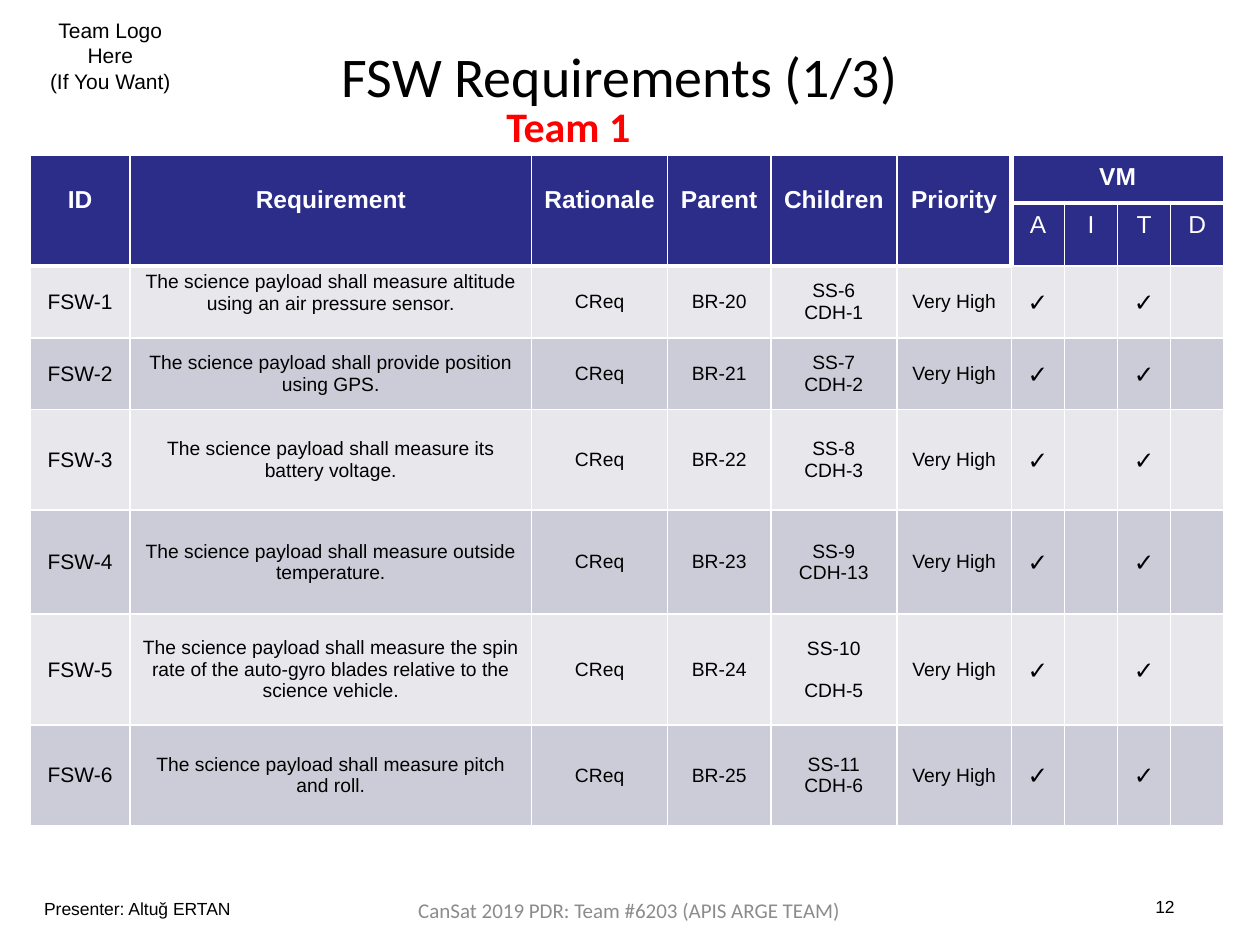
from lxml import etree
from pptx import Presentation
from pptx.dml.color import RGBColor
from pptx.enum.text import MSO_ANCHOR, PP_ALIGN
from pptx.oxml.ns import qn
from pptx.util import Cm, Pt

LEFT, CENTER = PP_ALIGN.LEFT, PP_ALIGN.CENTER
TOP, MIDDLE = MSO_ANCHOR.TOP, MSO_ANCHOR.MIDDLE

COLORS = {
    "black": "000000",
    "white": "FFFFFF",
    "red": "FF0000",
    "grey": "8C8C8C",
    "header": "2C2C89",
    "light": "E7E7EC",
    "dark": "CCCCD9",
}

COLUMN_WIDTHS = [2.01, 8.1, 2.74, 2.08, 2.54, 2.31] + [1.07] * 4
ROW_HEIGHTS = [0.97, 1.27, 1.45, 1.45, 2.02, 2.1, 2.24, 2.02]
HEADERS = ["ID", "Requirement", "Rationale", "Parent", "Children", "Priority"]
METHODS = "AITD"
USED_METHODS = "AT"
FIRST_METHOD = len(HEADERS)

REQUIREMENTS = [
    ("The science payload shall measure altitude using an air pressure sensor.",
     ["SS-6", "CDH-1"]),
    ("The science payload shall provide position using GPS.", ["SS-7", "CDH-2"]),
    ("The science payload shall measure its battery voltage.", ["SS-8", "CDH-3"]),
    ("The science payload shall measure outside temperature.", ["SS-9", "CDH-13"]),
    ("The science payload shall measure the spin rate of the auto-gyro blades "
     "relative to the science vehicle.", ["SS-10", "CDH-5"]),
    ("The science payload shall measure pitch and roll.", ["SS-11", "CDH-6"]),
]


def write(frame, lines, size, color="black", font="Arial", bold=False,
          align=CENTER, gap=0):
    """Fill a text frame, one paragraph per line."""
    for index, line in enumerate(lines):
        para = frame.add_paragraph() if index else frame.paragraphs[0]
        para.text = line
        para.alignment = align
        if index and gap:
            para.space_before = Pt(gap)
        para.font.size = Pt(size)
        para.font.name = font
        para.font.bold = bold
        para.font.color.rgb = RGBColor.from_string(COLORS[color])


def add_text(page, left, top, width, height, lines, size, anchor=TOP, **style):
    box = page.shapes.add_textbox(Cm(left), Cm(top), Cm(width), Cm(height))
    frame = box.text_frame
    frame.word_wrap = True
    frame.vertical_anchor = anchor
    frame.margin_left = frame.margin_right = 0
    frame.margin_top = frame.margin_bottom = 0
    write(frame, lines, size, **style)


def set_borders(cell, thick=""):
    """White lines of 1 pt, or 3 pt on the sides named in thick."""
    properties = cell._tc.get_or_add_tcPr()
    for index, side in enumerate("LRTB"):
        line = etree.Element(qn(f"a:ln{side}"))
        line.set("w", str(Pt(3 if side in thick else 1)))
        fill = etree.SubElement(line, qn("a:solidFill"))
        etree.SubElement(fill, qn("a:srgbClr")).set("val", COLORS["white"])
        properties.insert(index, line)


def style_cell(cell, fill, thick="", anchor=MIDDLE, top=0, bottom=0):
    cell.margin_left = cell.margin_right = 0
    cell.margin_top, cell.margin_bottom = Cm(top), Cm(bottom)
    cell.vertical_anchor = anchor
    cell.fill.solid()
    cell.fill.fore_color.rgb = RGBColor.from_string(COLORS[fill])
    set_borders(cell, thick)


def fill_header(table):
    for column, title in enumerate(HEADERS):
        thick = "R" if column == FIRST_METHOD - 1 else ""
        upper, lower = table.cell(0, column), table.cell(1, column)
        style_cell(upper, "header", thick + "B", bottom=0.43)
        style_cell(lower, "header", thick + "B")
        upper.merge(lower)
        write(upper.text_frame, [title], 14, "white", bold=True)

    # Verification methods
    for column, method in enumerate(METHODS, FIRST_METHOD):
        thick = "L" if column == FIRST_METHOD else ""
        style_cell(table.cell(0, column), "header", thick + "B", TOP, top=0.17)
        cell = table.cell(1, column)
        style_cell(cell, "header", thick + "T", TOP, top=0.17)
        write(cell.text_frame, [method], 14, "white")
    group = table.cell(0, FIRST_METHOD)
    group.merge(table.cell(0, FIRST_METHOD + len(METHODS) - 1))
    write(group.text_frame, ["VM"], 14, "white", bold=True)


def fill_requirement(table, number, requirement, children):
    row = number + 1
    fill = "light" if number % 2 else "dark"
    values = [[f"FSW-{number}"], [requirement], ["CReq"], [f"BR-{19 + number}"],
              children, ["Very High"]]
    for column, lines in enumerate(values):
        cell = table.cell(row, column)
        thick = "T" if number == 1 else ""
        style_cell(cell, fill, thick)
        gap = 12 if children[0] == "SS-10" else 0
        write(cell.text_frame, lines, 11 if column else 12, gap=gap)
    text_cell = table.cell(row, 1)
    text_cell.margin_left = text_cell.margin_right = Cm(0.2)
    if number == 1:
        text_cell.margin_bottom = Cm(0.36)

    for column, method in enumerate(METHODS, FIRST_METHOD):
        cell = table.cell(row, column)
        style_cell(cell, fill)
        if method in USED_METHODS:
            write(cell.text_frame, ["✓"], 14, font="Noto Sans")


def add_requirements(page):
    shape = page.shapes.add_table(
        len(ROW_HEIGHTS), len(COLUMN_WIDTHS), Cm(0.61), Cm(3.12),
        Cm(sum(COLUMN_WIDTHS)), Cm(sum(ROW_HEIGHTS)))
    table = shape.table
    for column, width in zip(table.columns, COLUMN_WIDTHS):
        column.width = Cm(width)
    for row, height in zip(table.rows, ROW_HEIGHTS):
        row.height = Cm(height)
    fill_header(table)
    for number, (requirement, children) in enumerate(REQUIREMENTS, 1):
        fill_requirement(table, number, requirement, children)


def main():
    deck = Presentation()
    deck.slide_width, deck.slide_height = Cm(25.4), Cm(19.05)
    page = deck.slides.add_slide(deck.slide_layouts[6])

    # Heading
    add_text(page, 0.97, 0.36, 2.51, 1.5,
             ["Team Logo", "Here", "(If You Want)"], 12)
    add_text(page, 4.67, 0.81, 15.65, 1.4, ["FSW Requirements (1/3)"], 32,
             MIDDLE, font="Calibri")

    # Requirements table
    add_requirements(page)

    # Footer
    add_text(page, 23.29, 18.06, 0.69, 0.46, ["12"], 10, align=LEFT)
    add_text(page, 0.89, 18.11, 3.96, 0.46, ["Presenter: Altuğ ERTAN"], 10,
             align=LEFT)
    add_text(page, 8.43, 18.11, 8.51, 0.46,
             ["CanSat 2019 PDR: Team #6203 (APIS ARGE TEAM)"], 12, MIDDLE,
             color="grey", font="Calibri")

    # Team label
    add_text(page, 10.21, 2.03, 4.57, 1.02, ["Team 1"], 24, color="red",
             font="Calibri", bold=True, align=LEFT)

    deck.save("out.pptx")


if __name__ == "__main__":
    main()
